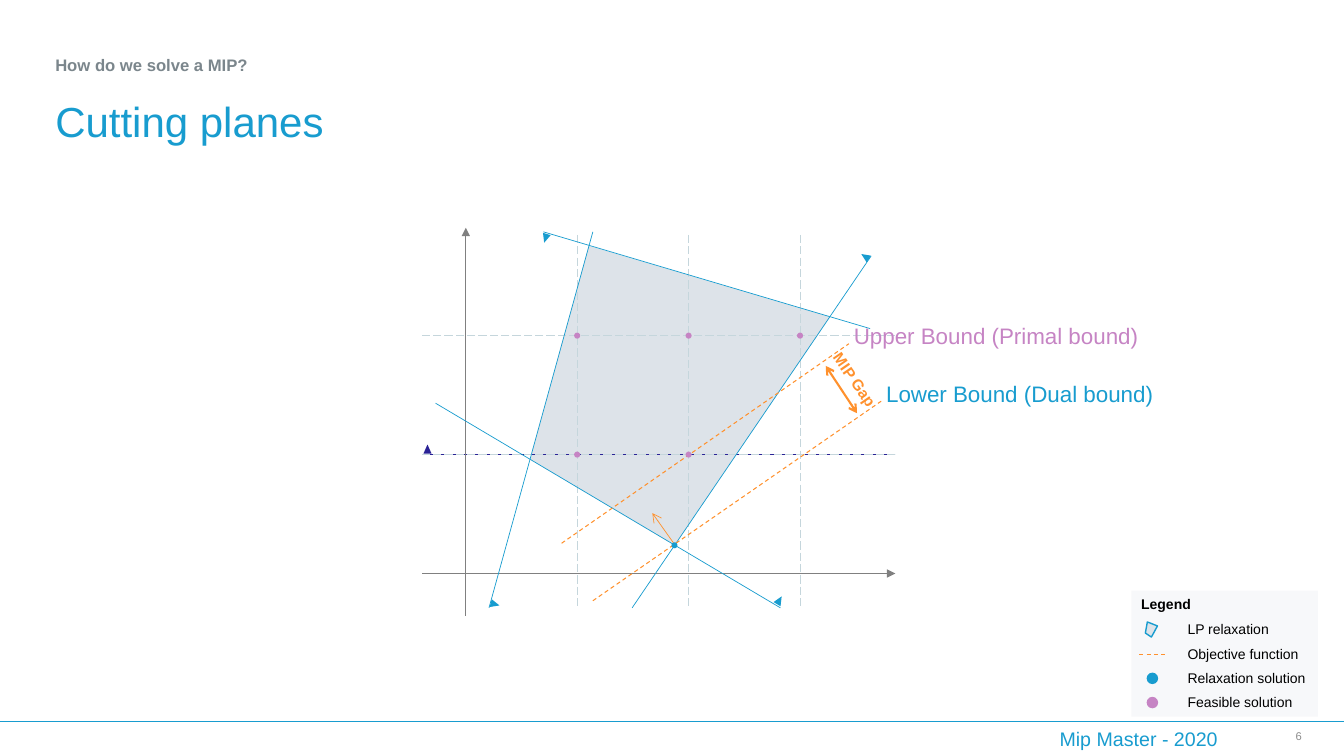
from lxml import etree
from pptx import Presentation
from pptx.dml.color import RGBColor
from pptx.enum import dml, shapes, text
from pptx.oxml import ns
from pptx.util import Inches, Pt

BLUE = RGBColor(0x18, 0x9C, 0xCF)
NAVY = RGBColor(0x2A, 0x22, 0x96)
ORANGE = RGBColor(0xFF, 0x91, 0x2D)
PURPLE = RGBColor(0xC6, 0x84, 0xC4)
PALE = RGBColor(0xDD, 0xE3, 0xE9)
MIST = RGBColor(0xC5, 0xD6, 0xDC)
GRAY = RGBColor(0x80, 0x80, 0x80)
SLATE = RGBColor(0x7B, 0x86, 0x8C)
SILVER = RGBColor(0x8C, 0x8C, 0x8C)
BLACK = RGBColor(0, 0, 0)
DASH = dml.MSO_LINE.DASH
LONG = dml.MSO_LINE.LONG_DASH
KIND = shapes.MSO_SHAPE
DOT = 0.06


def add_text(slide, box, words, size, color, bold=False, space=None,
             middle=False, align=None, right=0.1):
    shape = slide.shapes.add_textbox(*map(Inches, box))
    frame = shape.text_frame
    frame.word_wrap = True
    frame.margin_right = Inches(right)
    if middle:
        frame.vertical_anchor = text.MSO_ANCHOR.MIDDLE
    para = frame.paragraphs[0]
    para.alignment = align
    para.line_spacing = space
    run = para.add_run()
    run.text = words
    font = run.font
    font.name, font.size, font.bold = "Arial", Pt(size), bold
    font.color.rgb = color
    return shape


def add_line(slide, start, end, color, width, dash=None, head=None, tail=None):
    line = slide.shapes.add_connector(
        shapes.MSO_CONNECTOR.STRAIGHT, *map(Inches, (*start, *end)))
    line.line.color.rgb = color
    line.line.width = Pt(width)
    if dash:
        line.line.dash_style = dash
    props = line.line._get_or_add_ln()
    for tag, kind in (("a:headEnd", head), ("a:tailEnd", tail)):
        if kind:
            etree.SubElement(props, ns.qn(tag)).set("type", kind)
    etree.SubElement(line._element.spPr, ns.qn("a:effectLst"))


def paint(shape, fill, edge=None):
    shape.shadow.inherit = False
    shape.fill.solid()
    shape.fill.fore_color.rgb = fill
    if edge:
        shape.line.color.rgb = edge
        shape.line.width = Pt(1)
    else:
        shape.line.fill.background()
    return shape


def add_shape(slide, kind, box, fill, edge=None):
    return paint(slide.shapes.add_shape(kind, *map(Inches, box)), fill, edge)


def add_dot(slide, x, y, size, color, edge=None):
    box = (x - size / 2, y - size / 2, size, size)
    add_shape(slide, KIND.OVAL, box, color, edge)


def add_patch(slide, x, y, points, edge=None):
    spots = [(Inches(x + dx), Inches(y + dy)) for dx, dy in points]
    path = slide.shapes.build_freeform(*spots[0])
    path.add_line_segments(spots[1:], close=True)
    paint(path.convert_to_shape(), PALE, edge)


def draw_head(slide, x, y):
    add_text(slide, (x, y + 0.35, 11.5, 0.66), "Cutting planes", 30, BLUE,
             space=0.9, middle=True)
    add_text(slide, (x, y, 6.03, 0.25), "How do we solve a MIP?", 11.9, SLATE,
             bold=True, space=0.7)


def draw_plot(slide, x, y):
    def line(start, end, *style, **ends):
        add_line(slide, (x + start[0], y + start[1]),
                 (x + end[0], y + end[1]), *style, **ends)

    wide, base, left = 4.69, 3.43, 0.43
    cols = [left + 1.105 * i for i in (1, 2, 3)]
    rows = [base - 1.18 * j for j in (1, 2)]

    # Feasible region, with and without the cut
    add_patch(slide, x, y, [(1.65, 0.18), (4.03, 0.88), (3.11, 2.25), (1.08, 2.24)])
    add_patch(slide, x, y, [(1.65, 0.18), (4.04, 0.89), (2.5, 3.15), (1.07, 2.3)])

    # Cut, grid and axes
    line((wide, rows[0]), (0, rows[0]), NAVY, 0.5)
    for col in cols:
        line((col, 0.07), (col, 3.77), MIST, 0.75, LONG)
    for row in rows:
        line((wide, row), (0, row), MIST, 0.75, LONG)
    line((wide, base), (0, base), GRAY, 0.75, head="triangle")
    line((left, 0), (left, 3.85), GRAY, 0.75, head="triangle")

    # Constraints, each with a flag on its feasible side
    for start, end in (((0.66, 3.77), (1.69, 0.04)), ((4.44, 1), (1.2, 0.04)),
                       ((4.45, 0.28), (2.08, 3.77)), ((0.13, 1.74), (3.55, 3.77))):
        line(start, end, BLUE, 0.5)
    for dx, dy, turn, color in ((3.5, 3.65, 30.7, BLUE), (0.68, 3.69, 104.9, BLUE),
                                (1.18, 0.06, 196.8, BLUE), (4.35, 0.24, 303.8, BLUE),
                                (0.01, 2.15, 0, NAVY)):
        flag = add_shape(slide, KIND.ISOSCELES_TRIANGLE,
                         (x + dx, y + dy, 0.08, 0.09), color)
        flag.rotation = turn

    # Objective lines and the gap between them
    line((1.38, 3.13), (4.23, 1.15), ORANGE, 0.75, DASH)
    line((1.69, 3.7), (4.55, 1.72), ORANGE, 0.75, DASH)
    line((2.5, 3.14), (2.28, 2.83), ORANGE, 0.5, tail="arrow")
    line((4, 1.37), (4.31, 1.84), ORANGE, 1.5, head="arrow", tail="arrow")
    gap = add_text(slide, (x + 3.88, y + 1.37, 0.82, 0.29), "MIP Gap", 11, ORANGE,
                   bold=True, right=0)
    gap.rotation = 55.3
    add_text(slide, (x + 4.18, y + 0.89, 3.18, 0.37), "Upper Bound (Primal bound)",
             16, PURPLE)
    add_text(slide, (x + 4.5, y + 1.46, 3, 0.37), "Lower Bound (Dual bound)",
             16, BLUE)

    # Solutions
    add_dot(slide, x + 2.5, y + 3.15, DOT, BLUE)
    for row, count in zip(rows, (2, 3)):
        for col in cols[:count]:
            add_dot(slide, x + col, y + row, DOT, PURPLE)


def draw_key(slide, x, y):
    panel = add_shape(slide, KIND.RECTANGLE, (x, y, 1.85, 1.25), PALE)
    tint = panel._element.spPr.find(ns.qn("a:solidFill"))[0]
    etree.SubElement(tint, ns.qn("a:alpha")).set("val", "22000")
    add_text(slide, (x, y, 1.85, 0.27), "Legend", 10, BLACK, bold=True)

    names = ("LP relaxation", "Objective function", "Relaxation solution",
             "Feasible solution")
    tops = [y + 0.25 + 0.24 * i for i in range(len(names))]
    for top, name in zip(tops, names):
        add_text(slide, (x + 0.46, top, 1.39, 0.27), name, 10, BLACK, right=0)

    # Symbols
    add_patch(slide, x + 0.14, tops[0] + 0.06,
              [(0.02, 0), (0.12, 0.04), (0.06, 0.15), (0, 0.11)], BLUE)
    mid = tops[1] + 0.14
    add_line(slide, (x + 0.08, mid), (x + 0.36, mid), ORANGE, 0.75, DASH)
    for top, color in zip(tops[2:], (BLUE, PURPLE)):
        add_dot(slide, x + 0.21, top + 0.14, 0.1, color, color)


def draw_foot(slide, x, y):
    add_line(slide, (x, y), (x + 13.33, y), BLUE, 0.25)
    add_text(slide, (x + 10.41, y + 0.01, 2.39, 0.34), "Mip Master - 2020", 14, BLUE)
    add_text(slide, (x + 12.52, y - 0.05, 0.49, 0.4), "6", 8, SILVER,
             middle=True, align=text.PP_ALIGN.RIGHT)


def main():
    deck = Presentation()
    deck.slide_width, deck.slide_height = Inches(13.33), Inches(7.5)
    slide = deck.slides.add_slide(deck.slide_layouts[6])
    draw_head(slide, 0.45, 0.55)
    draw_plot(slide, 4.19, 2.26)
    draw_key(slide, 11.22, 5.86)
    draw_foot(slide, 0, 7.15)
    deck.save("out.pptx")


if __name__ == "__main__":
    main()
